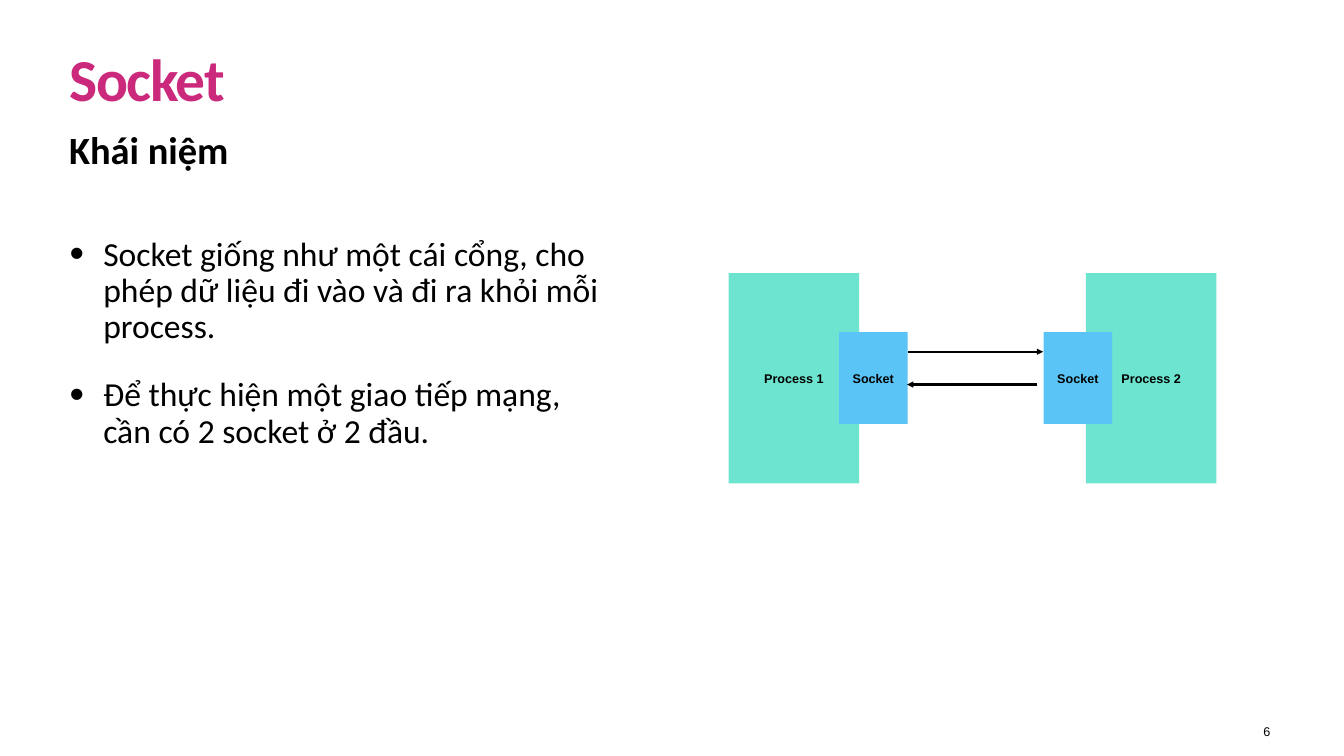
"""Build the slide that introduces the socket concept."""
from dataclasses import dataclass

from lxml import etree
from pptx import Presentation
from pptx.dml.color import RGBColor
from pptx.enum.shapes import MSO_CONNECTOR, MSO_SHAPE
from pptx.enum.text import MSO_ANCHOR, MSO_AUTO_SIZE, PP_ALIGN
from pptx.oxml.ns import qn
from pptx.util import Inches, Pt

RECTANGLE = MSO_SHAPE.RECTANGLE
STRAIGHT = MSO_CONNECTOR.STRAIGHT
TOP, MIDDLE, BOTTOM = MSO_ANCHOR.TOP, MSO_ANCHOR.MIDDLE, MSO_ANCHOR.BOTTOM
LEFT, CENTER = PP_ALIGN.LEFT, PP_ALIGN.CENTER
NO_FIT, GROW = MSO_AUTO_SIZE.NONE, MSO_AUTO_SIZE.SHAPE_TO_FIT_TEXT


@dataclass(frozen=True)
class Theme:
    text: RGBColor = RGBColor(0x00, 0x00, 0x00)
    title: RGBColor = RGBColor(0xCB, 0x29, 0x7B)
    process: RGBColor = RGBColor(0x6C, 0xE4, 0xCF)
    socket: RGBColor = RGBColor(0x5A, 0xC4, 0xF6)
    text_font: str = "Calibri"
    label_font: str = "Arial"
    title_size: int = 85
    subtitle_size: int = 55
    list_size: int = 48
    label_size: int = 18


@dataclass(frozen=True)
class Block:
    label: str
    left: float
    top: float
    width: float
    height: float
    fill: RGBColor


@dataclass(frozen=True)
class Arrow:
    start: float
    end: float
    level: float


THEME = Theme()
PROCESS = (5.42, 2.59, 4.17, THEME.process)
SOCKET = (6.59, 1.36, 1.82, THEME.socket)
BLOCKS = (
    Block("Process 1", 14.46, *PROCESS),
    Block("Socket", 16.65, *SOCKET),
    Block("Process 2", 21.55, *PROCESS),
    Block("Socket", 20.71, *SOCKET),
)
ARROWS = (Arrow(18.02, 20.7, 6.98), Arrow(20.58, 18, 7.63))
BULLETS = (
    "Socket giống như một cái cổng, cho phép dữ liệu đi vào và đi ra khỏi mỗi process.",
    "Để thực hiện một giao tiếp mạng, cần có 2 socket ở 2 đầu.",
)


def set_frame(frame, inset: float, anchor, fit=NO_FIT, wrap: bool = True) -> None:
    frame.margin_left = frame.margin_right = Inches(inset)
    frame.margin_top = frame.margin_bottom = Inches(inset)
    frame.vertical_anchor = anchor
    frame.auto_size = fit
    frame.word_wrap = wrap


def add_span(para, text: str, font: str, size: int, color=THEME.text, bold: bool = False):
    span = para.add_run()
    span.text = text
    span.font.name = font
    span.font.size = Pt(size)
    span.font.bold = bold
    span.font.color.rgb = color
    return span


def place(box, top: float, height: float, inset: float) -> None:
    box.left, box.top = Inches(1.32), Inches(top)
    box.width, box.height = Inches(10.69), Inches(height)
    set_frame(box.text_frame, inset, TOP)


def set_indent(para, indent: float, bullet: bool) -> None:
    properties = para._p.get_or_add_pPr()
    properties.set("marL", str(Inches(indent)))
    properties.set("indent", str(-Inches(indent)))
    if bullet:
        etree.SubElement(properties, qn("a:buSzPct"), val="123000")
        etree.SubElement(properties, qn("a:buFont"), typeface=THEME.label_font)
        etree.SubElement(properties, qn("a:buChar"), char="•")
    else:
        etree.SubElement(properties, qn("a:buNone"))


def add_heading(title, subtitle) -> None:
    place(title, 1.04, 1.57, 0.06)
    para = title.text_frame.paragraphs[0]
    para.alignment = LEFT
    para.line_spacing = 0.8
    span = add_span(para, "Socket", THEME.text_font, THEME.title_size, THEME.title, True)
    span.font._element.set("spc", "-200")

    place(subtitle, 2.46, 1.02, 0.05)
    para = subtitle.text_frame.paragraphs[0]
    set_indent(para, 0, False)
    para.space_before = Pt(0)
    add_span(para, "Khái niệm", THEME.text_font, THEME.subtitle_size, bold=True)


def add_list(body) -> None:
    place(body, 4.65, 9.03, 0.06)
    frame = body.text_frame
    for index, text in enumerate(BULLETS):
        para = frame.add_paragraph() if index else frame.paragraphs[0]
        set_indent(para, 0.67, True)
        para.line_spacing = 0.9
        para.space_before = Pt(45 if index else 0)
        add_span(para, text, THEME.text_font, THEME.list_size)


def add_block(page, block: Block) -> None:
    box = page.shapes.add_shape(
        RECTANGLE, Inches(block.left), Inches(block.top), Inches(block.width), Inches(block.height)
    )
    box.shadow.inherit = False
    box.fill.solid()
    box.fill.fore_color.rgb = block.fill
    box.line.fill.background()
    set_frame(box.text_frame, 0.14, MIDDLE)
    para = box.text_frame.paragraphs[0]
    para.alignment = CENTER
    add_span(para, block.label, THEME.label_font, THEME.label_size, bold=True)


def add_arrow(page, arrow: Arrow) -> None:
    level = Inches(arrow.level)
    line = page.shapes.add_connector(STRAIGHT, Inches(arrow.start), level, Inches(arrow.end), level)
    line.line.color.rgb = THEME.text
    line.line.width = Pt(3)
    etree.SubElement(line.line._get_or_add_ln(), qn("a:tailEnd"), type="triangle")
    etree.SubElement(line._element.spPr, qn("a:effectLst"))


def add_page_number(page) -> None:
    box = page.shapes.add_textbox(Inches(24.94), Inches(14.31), Inches(0.4), Inches(0.41))
    set_frame(box.text_frame, 0.06, BOTTOM, GROW, False)
    para = box.text_frame.paragraphs[0]
    para.alignment = CENTER
    add_span(para, "6", THEME.label_font, THEME.label_size)


def main() -> None:
    deck = Presentation()
    deck.slide_width, deck.slide_height = Inches(26.67), Inches(15)
    page = deck.slides.add_slide(deck.slide_layouts.get_by_name("Two Content"))
    title, subtitle, body = page.placeholders
    add_heading(title, subtitle)
    add_list(body)
    for block in BLOCKS:
        add_block(page, block)
    for arrow in ARROWS:
        add_arrow(page, arrow)
    add_page_number(page)
    deck.save("out.pptx")


if __name__ == "__main__":
    main()
